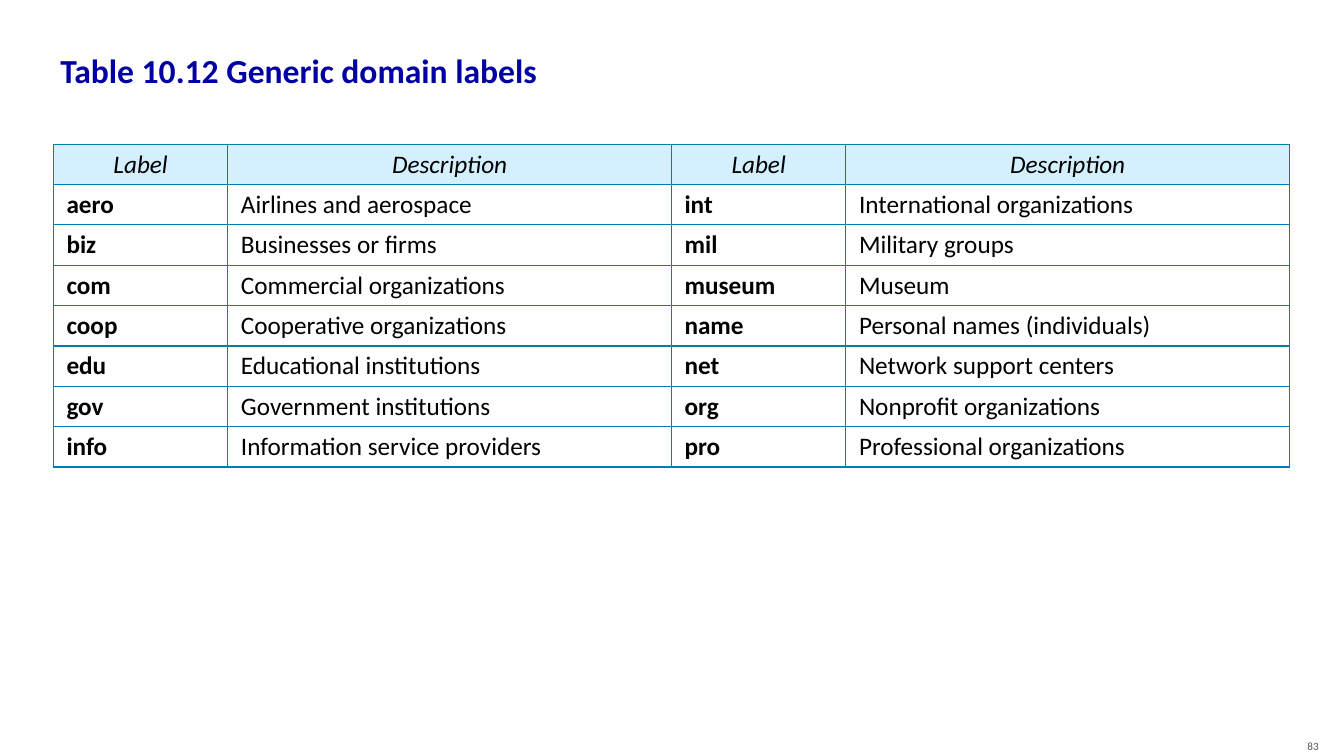
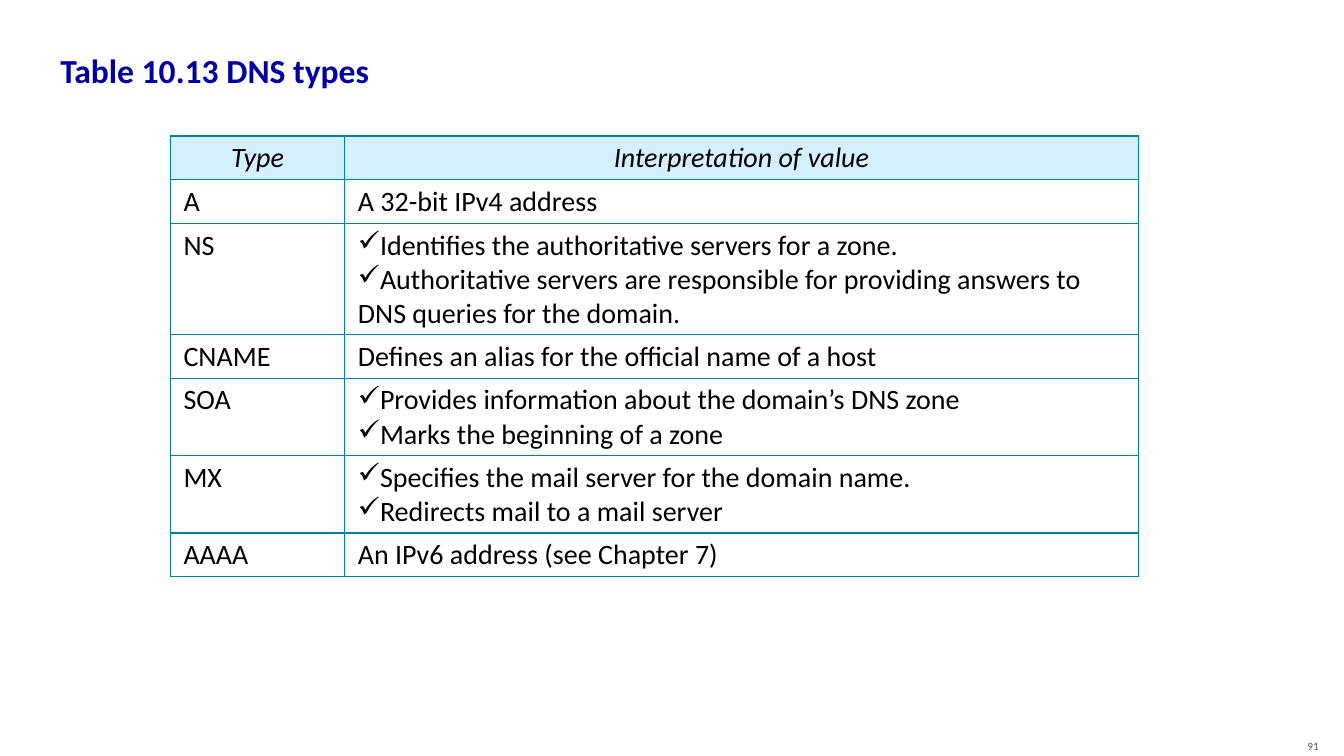
"""Build two slides that tabulate domain labels and DNS types."""
import dataclasses

import lxml.etree
import pptx
import pptx.dml.color
import pptx.enum.text
import pptx.oxml.ns
import pptx.util

Inches = pptx.util.Inches
Align = pptx.enum.text.PP_ALIGN
Anchor = pptx.enum.text.MSO_ANCHOR
qn = pptx.oxml.ns.qn

FONT = "Calibri"
COLORS = {
    "title": "0000A3",
    "text": "000000",
    "head": "D4EFFD",
    "rule": "007EAD",
    "page": "595959",
}


@dataclasses.dataclass(frozen=True)
class Style:
    size: int
    color: str = "text"
    bold: bool = False
    italic: bool = False
    align: Align = Align.LEFT


@dataclasses.dataclass(frozen=True)
class Grid:
    title: str
    page: str
    left: float
    top: float
    widths: tuple
    size: int
    strong: tuple
    rows: tuple


TITLE = Style(24, "title", bold=True)
PAGE = Style(8, "page", align=Align.RIGHT)
GRIDS = (
    Grid(
        "Table 10.12 Generic domain labels", "83", 0.53, 1.43,
        (1.73, 4.4, 1.73, 4.4), 18, (0, 2),
        (
            ("Label", "Description", "Label", "Description"),
            ("aero", "Airlines and aerospace", "int", "International organizations"),
            ("biz", "Businesses or firms", "mil", "Military groups"),
            ("com", "Commercial organizations", "museum", "Museum"),
            ("coop", "Cooperative organizations", "name", "Personal names (individuals)"),
            ("edu", "Educational institutions", "net", "Network support centers"),
            ("gov", "Government institutions", "org", "Nonprofit organizations"),
            ("info", "Information service providers", "pro", "Professional organizations"),
        ),
    ),
    Grid(
        "Table 10.13 DNS types", "91", 1.69, 1.35, (1.73, 7.87), 20, (),
        (
            ("Type", "Interpretation of value"),
            ("A", "A 32-bit IPv4 address"),
            ("NS", (
                "Identifies the authoritative servers for a zone.",
                "Authoritative servers are responsible for providing answers to "
                "DNS queries for the domain.",
            )),
            ("CNAME", "Defines an alias for the official name of a host"),
            ("SOA", (
                "Provides information about the domain’s DNS zone",
                "Marks the beginning of a zone",
            )),
            ("MX", (
                "Specifies the mail server for the domain name.",
                "Redirects mail to a mail server",
            )),
            ("AAAA", "An IPv6 address (see Chapter 7)"),
        ),
    ),
)


def color(key: str) -> pptx.dml.color.RGBColor:
    return pptx.dml.color.RGBColor.from_string(COLORS[key])


def write(frame, text: str | tuple, style: Style) -> None:
    checked = isinstance(text, tuple)
    lines = text if checked else (text,)
    frame.text = "\n".join(lines)
    for para in frame.paragraphs:
        para.alignment = style.align
        if checked:
            props = para._p.get_or_add_pPr()
            props.set("marL", "0")
            props.set("indent", "0")
            lxml.etree.SubElement(props, qn("a:buChar")).set("char", "✓")
        font = para.font
        font.name = FONT
        font.size = pptx.util.Pt(style.size)
        font.bold = style.bold
        font.italic = style.italic
        font.color.rgb = color(style.color)


def label(slide, box: tuple, text: str, style: Style, right: float) -> None:
    frame = slide.shapes.add_textbox(*map(Inches, box)).text_frame
    frame.word_wrap = True
    frame.vertical_anchor = Anchor.MIDDLE
    frame.margin_right = Inches(right)
    write(frame, text, style)


def border(cell) -> None:
    props = cell._tc.get_or_add_tcPr()
    for side in "LRTB":
        line = lxml.etree.SubElement(props, qn(f"a:ln{side}"))
        line.set("w", str(pptx.util.Pt(1)))
        fill = lxml.etree.SubElement(line, qn("a:solidFill"))
        lxml.etree.SubElement(fill, qn("a:srgbClr")).set("val", COLORS["rule"])


def table(slide, grid: Grid) -> None:
    count, step = len(grid.rows), 0.4
    body = slide.shapes.add_table(
        count, len(grid.widths), Inches(grid.left), Inches(grid.top),
        Inches(sum(grid.widths)), Inches(count * step),
    ).table
    body.first_row = body.horz_banding = False
    for col, width in zip(body.columns, grid.widths):
        col.width = Inches(width)
    for r, row in enumerate(grid.rows):
        body.rows[r].height = Inches(step)
        for c, text in enumerate(row):
            cell = body.cell(r, c)
            cell.margin_left = cell.margin_right = Inches(0.13)
            cell.margin_top = cell.margin_bottom = Inches(0.05)
            border(cell)
            if r == 0:
                cell.fill.solid()
                cell.fill.fore_color.rgb = color("head")
                style = Style(grid.size, italic=True, align=Align.CENTER)
            else:
                cell.fill.background()
                style = Style(grid.size, bold=c in grid.strong)
            write(cell.text_frame, text, style)


def main() -> None:
    deck = pptx.Presentation()
    deck.slide_width, deck.slide_height = Inches(13.33), Inches(7.5)
    for grid in GRIDS:
        slide = deck.slides.add_slide(deck.slide_layouts[6])
        label(slide, (0.5, 0.33, 12.33, 0.74), grid.title, TITLE, 0.1)
        table(slide, grid)
        label(slide, (12.61, 7.31, 0.52, 0.18), grid.page, PAGE, 0.05)
    deck.save("out.pptx")


if __name__ == "__main__":
    main()
